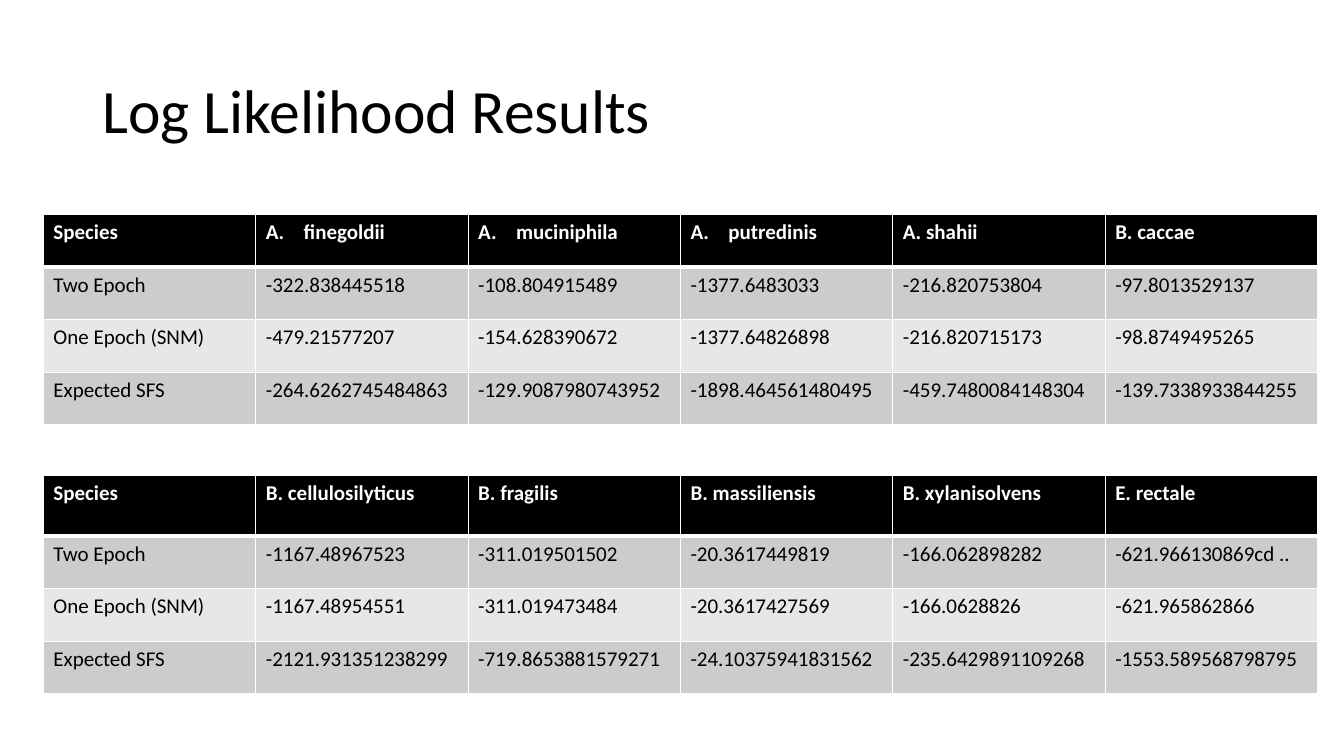
from dataclasses import dataclass

import lxml.etree
import pptx
import pptx.dml.color
import pptx.enum.text
import pptx.oxml.ns
import pptx.util

Pt = pptx.util.Pt
RGBColor = pptx.dml.color.RGBColor
qn = pptx.oxml.ns.qn

BLACK = RGBColor(0x00, 0x00, 0x00)
WHITE = RGBColor(0xFF, 0xFF, 0xFF)
DARK_BAND = RGBColor(0xCC, 0xCC, 0xCC)
LIGHT_BAND = RGBColor(0xE7, 0xE7, 0xE7)

FONT = "Calibri"
TABLE_LEFT = 31
COLUMN_WIDTH = 151.7
ROW_HEIGHT = 37.5
LIST_INDENT = 27
THIN_BORDER = 1
HEADER_BORDER = 3


@dataclass(frozen=True)
class ResultTable:
    top: float
    header_height: float
    rows: list[list[str]]
    lettered_columns: tuple[int, ...] = ()  # header cells numbered "A."


RESULT_TABLES = [
    ResultTable(153.4, ROW_HEIGHT, [
        ["Species", "finegoldii", "muciniphila", "putredinis", "A. shahii", "B. caccae"],
        ["Two Epoch", "-322.838445518", "-108.804915489", "-1377.6483033",
         "-216.820753804", "-97.8013529137"],
        ["One Epoch (SNM)", "-479.21577207", "-154.628390672", "-1377.64826898",
         "-216.820715173", "-98.8749495265"],
        ["Expected SFS", "-264.6262745484863", "-129.9087980743952", "-1898.464561480495",
         "-459.7480084148304", "-139.7338933844255"],
    ], lettered_columns=(1, 2, 3)),
    ResultTable(339.8, 43.2, [
        ["Species", "B. cellulosilyticus", "B. fragilis", "B. massiliensis",
         "B. xylanisolvens", "E. rectale"],
        ["Two Epoch", "-1167.48967523", "-311.019501502", "-20.3617449819",
         "-166.062898282", "-621.966130869cd .."],
        ["One Epoch (SNM)", "-1167.48954551", "-311.019473484", "-20.3617427569",
         "-166.0628826", "-621.965862866"],
        ["Expected SFS", "-2121.931351238299", "-719.8653881579271", "-24.10375941831562",
         "-235.6429891109268", "-1553.589568798795"],
    ]),
]


def write_text(text_frame, text: str, *, size: float, color: RGBColor = BLACK,
               bold: bool = False, line_spacing: float = 1.0):
    paragraph = text_frame.paragraphs[0]
    paragraph.line_spacing = line_spacing
    run = paragraph.add_run()
    run.text = text
    run.font.name = FONT
    run.font.size = Pt(size)
    run.font.bold = bold
    run.font.color.rgb = color
    return paragraph


def number_with_letter(paragraph) -> None:
    properties = paragraph._p.get_or_add_pPr()
    properties.set("marL", str(Pt(LIST_INDENT)))
    properties.set("indent", str(-Pt(LIST_INDENT)))
    lxml.etree.SubElement(properties, qn("a:buAutoNum"), type="alphaUcPeriod")


def set_borders(cell, *, top: float, bottom: float) -> None:
    """Draw white cell borders; the side borders are always thin."""
    properties = cell._tc.get_or_add_tcPr()
    widths = {"a:lnL": THIN_BORDER, "a:lnR": THIN_BORDER, "a:lnT": top, "a:lnB": bottom}
    for position, (tag, width) in enumerate(widths.items()):
        line = lxml.etree.Element(qn(tag), w=str(Pt(width)))
        fill = lxml.etree.SubElement(line, qn("a:solidFill"))
        lxml.etree.SubElement(fill, qn("a:srgbClr"), val=str(WHITE))
        properties.insert(position, line)


def add_title(slide, text: str) -> None:
    box = slide.shapes.add_textbox(Pt(66), Pt(28.8), Pt(828), Pt(104.4))
    box.text_frame.word_wrap = True
    box.text_frame.vertical_anchor = pptx.enum.text.MSO_ANCHOR.MIDDLE
    write_text(box.text_frame, text, size=44, line_spacing=0.9)


def add_result_table(slide, result: ResultTable) -> None:
    row_count, column_count = len(result.rows), len(result.rows[0])
    height = result.header_height + ROW_HEIGHT * (row_count - 1)
    table = slide.shapes.add_table(
        row_count, column_count, Pt(TABLE_LEFT), Pt(result.top),
        Pt(COLUMN_WIDTH * column_count), Pt(height)).table
    for column in table.columns:
        column.width = Pt(COLUMN_WIDTH)
    for row_index, values in enumerate(result.rows):
        is_header = row_index == 0
        table.rows[row_index].height = Pt(result.header_height if is_header else ROW_HEIGHT)
        band = DARK_BAND if row_index % 2 else LIGHT_BAND
        for column_index, value in enumerate(values):
            cell = table.cell(row_index, column_index)
            cell.fill.solid()
            cell.fill.fore_color.rgb = BLACK if is_header else band
            set_borders(cell,
                        top=HEADER_BORDER if row_index == 1 else THIN_BORDER,
                        bottom=HEADER_BORDER if is_header else THIN_BORDER)
            paragraph = write_text(cell.text_frame, value, size=15, bold=is_header,
                                   color=WHITE if is_header else BLACK)
            if is_header and column_index in result.lettered_columns:
                number_with_letter(paragraph)


def main() -> None:
    presentation = pptx.Presentation()
    presentation.slide_width, presentation.slide_height = Pt(960), Pt(540)
    slide = presentation.slides.add_slide(presentation.slide_layouts[6])
    add_title(slide, "Log Likelihood Results")
    for result in RESULT_TABLES:
        add_result_table(slide, result)
    presentation.save("out.pptx")


if __name__ == "__main__":
    main()
